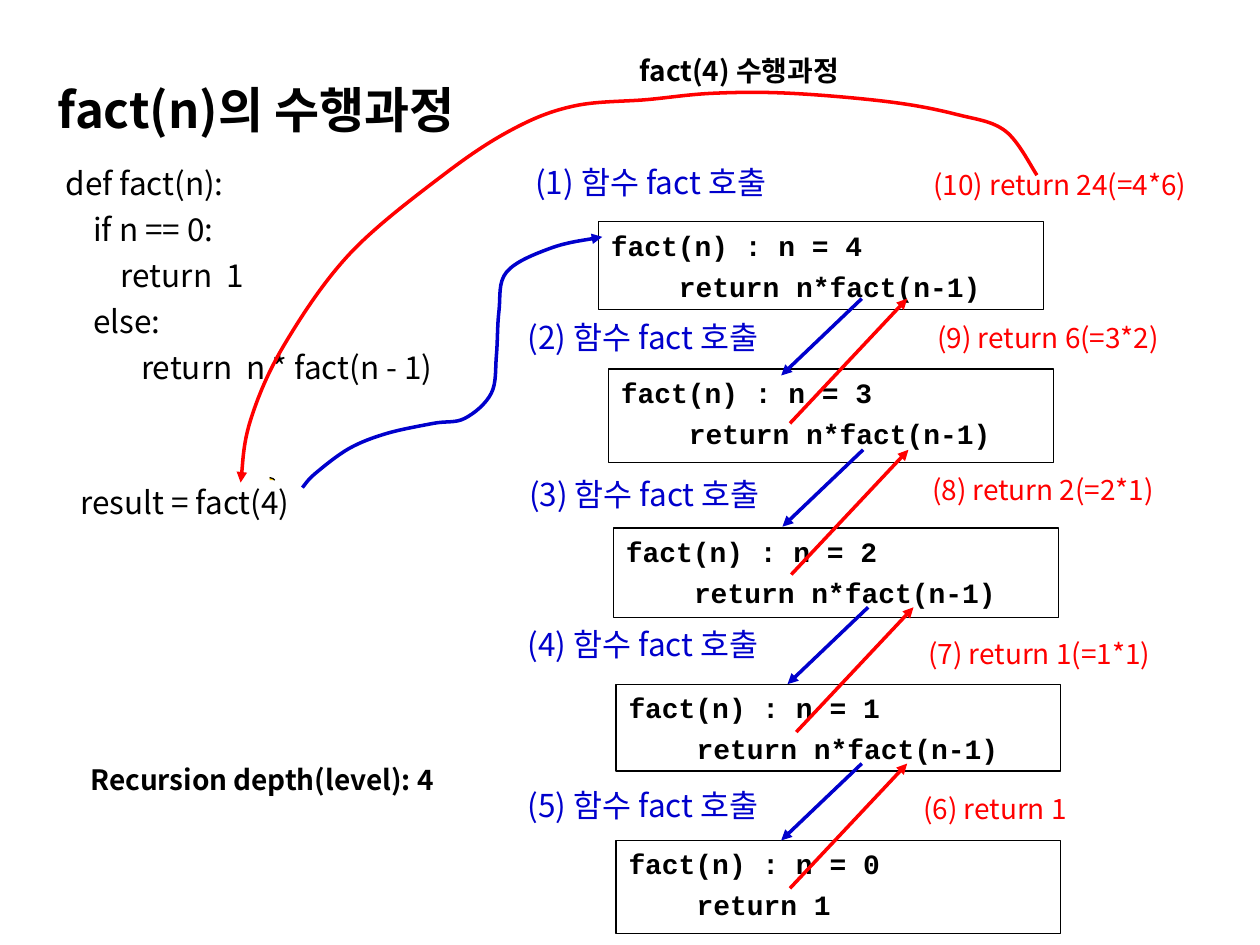
from pptx import Presentation
from pptx.dml.color import RGBColor
from pptx.enum.shapes import MSO_CONNECTOR, MSO_SHAPE
from pptx.enum.text import MSO_ANCHOR, PP_ALIGN
from pptx.oxml.ns import qn
from pptx.util import Inches, Pt
from lxml import etree

LEFT, TOP, BOTTOM = PP_ALIGN.LEFT, MSO_ANCHOR.TOP, MSO_ANCHOR.BOTTOM
STRAIGHT, RECTANGLE = MSO_CONNECTOR.STRAIGHT, MSO_SHAPE.RECTANGLE
SANS, MONO = "Noto Sans CJK KR", "Courier New"
BLACK, BLUE, RED, YELLOW = "000000", "0000CC", "FF0000", "FFCC00"

CODE = [("def fact(n):", 0), ("if n == 0:", 0.22), ("return  1", 0.44),
        ("else:", 0.22), ("return  n * fact(n - 1)", 0.6)]
# Left, top and height of each call frame, from n = 4 down to n = 0
FRAMES = [(4.75, 1.76, 0.7), (4.83, 2.93, 0.74), (4.87, 4.19, 0.71),
          (4.89, 5.43, 0.69), (4.89, 6.67, 0.74)]
CALLS = [(4.15, 1.24), (4.09, 2.47), (4.1, 3.72), (4.09, 4.91), (4.09, 6.19)]
RETURNS = [("(6) return 1", 7.23, 6.23), ("(7) return 1(=1*1)", 7.27, 5),
           ("(8) return 2(=2*1)", 7.3, 3.7), ("(9) return 6(=3*2)", 7.34, 2.49),
           ("(10) return 24(=4*6)", 7.31, 1.28)]
ARROW_STARTS = [(6.84, 2.37), (6.85, 3.57), (6.89, 4.82), (6.84, 6.06)]
CALL_CURVE = [(2.4, 3.87), (2.5, 3.76), (2.77, 3.56), (3.07, 3.44), (3.44, 3.36),
              (3.69, 3.32), (3.9, 3.12), (3.94, 2.82), (3.96, 2.47), (4.02, 2.16),
              (4.37, 1.97), (4.78, 1.88)]
RETURN_CURVE = [(8.23, 1.39), (7.98, 1.04), (7.6, 0.91), (7.07, 0.81), (6.27, 0.74),
                (5.66, 0.74), (5.14, 0.79), (4.56, 0.84), (4.08, 1.02), (3.53, 1.38),
                (2.78, 2.01), (2.26, 2.73), (1.99, 3.33), (1.91, 3.83)]


def rgb(color):
    return RGBColor.from_string(color)


def place(s, left, top, width, height):
    s.left, s.top, s.width, s.height = map(Inches, (left, top, width, height))


def write(tf, lines, size, color=BLACK, font=SANS, bold=False, anchor=TOP):
    """Fill a text frame with (text, indent in inches) lines."""
    tf.word_wrap, tf.vertical_anchor = True, anchor
    for i, (text, indent) in enumerate(lines):
        p = tf.add_paragraph() if i else tf.paragraphs[0]
        p.alignment = LEFT
        p.line_spacing = Pt(round(size * 1.21, 1))
        p.space_before = Pt(size / 4 if i else 0)
        pPr = p._p.get_or_add_pPr()
        pPr.set("marL", str(Inches(indent)))
        pPr.set("indent", "0")
        etree.SubElement(pPr, qn("a:buNone"))
        r = p.add_run()
        r.text = text
        r.font.size, r.font.bold, r.font.name = Pt(size), bold, font
        r.font.color.rgb = rgb(color)
        etree.SubElement(r._r.get_or_add_rPr(), qn("a:ea"), typeface=font)


def add_label(slide, text, left, top, width, size, color=BLACK, bold=False):
    s = slide.shapes.add_textbox(*map(Inches, (left, top, width, 0.46)))
    write(s.text_frame, [(text, 0)], size, color, bold=bold)


def add_frame(slide, n, left, top, height):
    s = slide.shapes.add_shape(RECTANGLE, *map(Inches, (left, top, 3.53, height)))
    s.shadow.inherit = False
    s.fill.background()
    s.line.color.rgb, s.line.width = rgb(BLACK), Pt(0.75)
    result = "return n*fact(n-1)" if n else "return 1"
    write(s.text_frame, [(f"fact(n) : n = {n}", 0), (result, 0.54)], 16,
          font=MONO, bold=True)


def style_line(s, color, width=2, arrow=True):
    s.line.color.rgb, s.line.width = rgb(color), Pt(width)
    if arrow:
        etree.SubElement(s.line._get_or_add_ln(), qn("a:tailEnd"), type="triangle")


def add_arrow(slide, start, end, color):
    s = slide.shapes.add_connector(STRAIGHT, *map(Inches, (*start, *end)))
    style_line(s, color)
    etree.SubElement(s._element.spPr, qn("a:effectLst"))


def add_outline(slide, points, close=False):
    points = [(Inches(x), Inches(y)) for x, y in points]
    builder = slide.shapes.build_freeform(*points[0])
    builder.add_line_segments(points[1:], close=close)
    s = builder.convert_to_shape()
    s.shadow.inherit = False
    return s


def add_curve(slide, points, color, width=2, arrow=True):
    """Draw a smooth line through the points, with Catmull-Rom tangents."""
    s = add_outline(slide, points)
    s.fill.background()
    style_line(s, color, width, arrow)
    nodes = [(int(pt.get("x")), int(pt.get("y")))
             for pt in s._element.iter(qn("a:pt"))]
    ends = [nodes[0], *nodes, nodes[-1]]
    segments = list(s._element.iter(qn("a:lnTo")))
    for segment, a, b, c, d in zip(segments, ends, ends[1:], ends[2:], ends[3:]):
        controls = [[q + (r - p) // 6 for p, q, r in zip(a, b, c)],
                    [q - (r - p) // 6 for p, q, r in zip(b, c, d)]]
        bezier = etree.Element(qn("a:cubicBezTo"))
        for x, y in [*controls, c]:
            etree.SubElement(bezier, qn("a:pt"), x=str(x), y=str(y))
        segment.getparent().replace(segment, bezier)


def add_wedge(slide):
    arc = [(2.14, 3.79), (2.17, 3.8), (2.18, 3.81)]
    s = add_outline(slide, [*arc, (2.14, 3.81)], close=True)
    s.fill.solid()
    s.fill.fore_color.rgb = rgb(YELLOW)
    s.line.fill.background()
    add_curve(slide, arc, BLACK, 0.75, arrow=False)


def main():
    prs = Presentation()
    prs.slide_width, prs.slide_height = Inches(10), Inches(7.5)
    slide = prs.slides.add_slide(prs.slide_layouts[1])
    title, body = slide.placeholders
    place(title, 0.27, 0.45, 3.8, 0.7)
    write(title.text_frame, [("fact(n)의 수행과정", 0.09)], 28, bold=True, anchor=BOTTOM)
    place(body, 0.42, 1.25, 3.53, 2.25)
    write(body.text_frame, CODE, 18)

    add_label(slide, "fact(4) 수행과정", 4.98, 0.37, 2.29, 16, bold=True)
    add_label(slide, "result = fact(4)", 0.54, 3.78, 2.29, 18)
    add_label(slide, "Recursion depth(level): 4", 0.62, 6, 3.53, 16, bold=True)
    for i, frame in enumerate(FRAMES):
        add_frame(slide, 4 - i, *frame)
    for i, (left, top) in enumerate(CALLS, 1):
        add_label(slide, f"({i}) 함수 fact 호출", left, top, 2.28, 18, BLUE)
    for text, left, top in RETURNS:
        add_label(slide, text, left, top, 2.3, 16, RED)
    for x, y in ARROW_STARTS:
        add_arrow(slide, (x, y), (x - 0.64, y + 0.61), BLUE)
        add_arrow(slide, (x - 0.57, y + 0.99), (x + 0.36, y), RED)
    add_wedge(slide)
    add_curve(slide, CALL_CURVE, BLUE)
    add_curve(slide, RETURN_CURVE, RED)
    prs.save("out.pptx")


if __name__ == "__main__":
    main()
